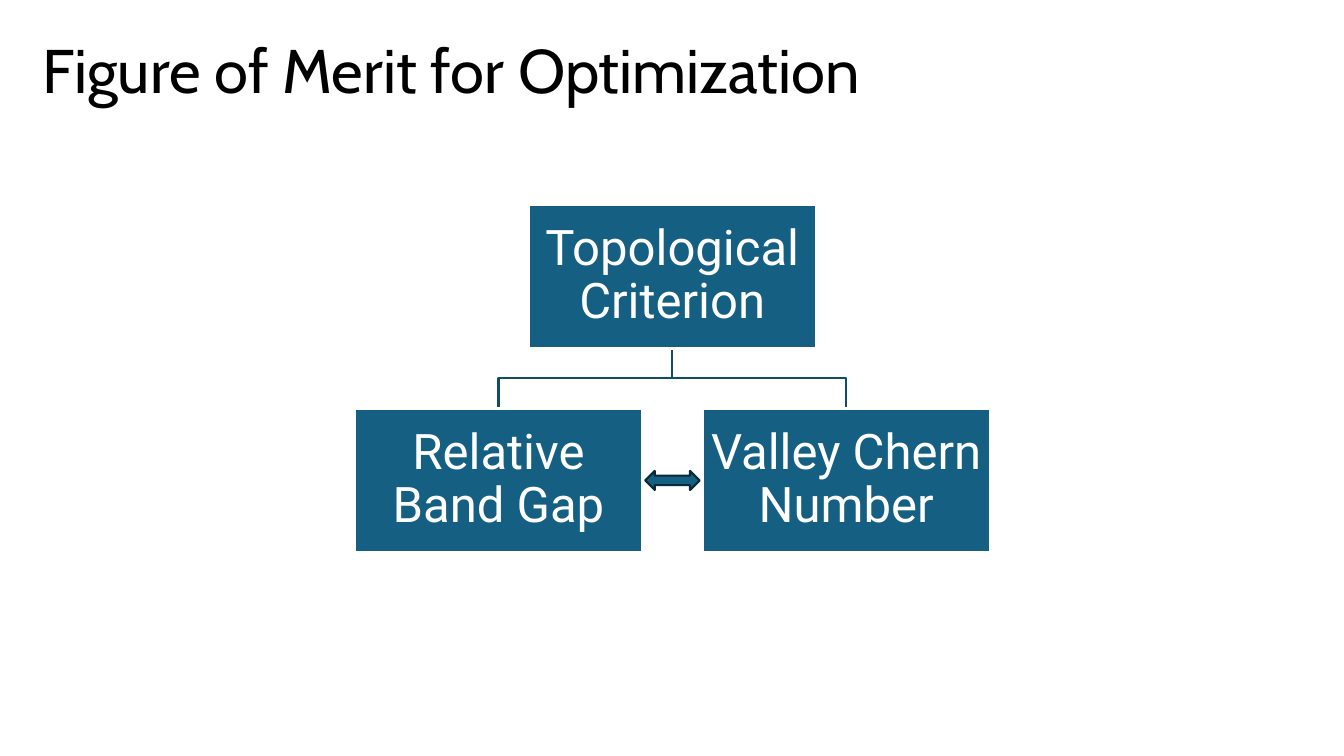
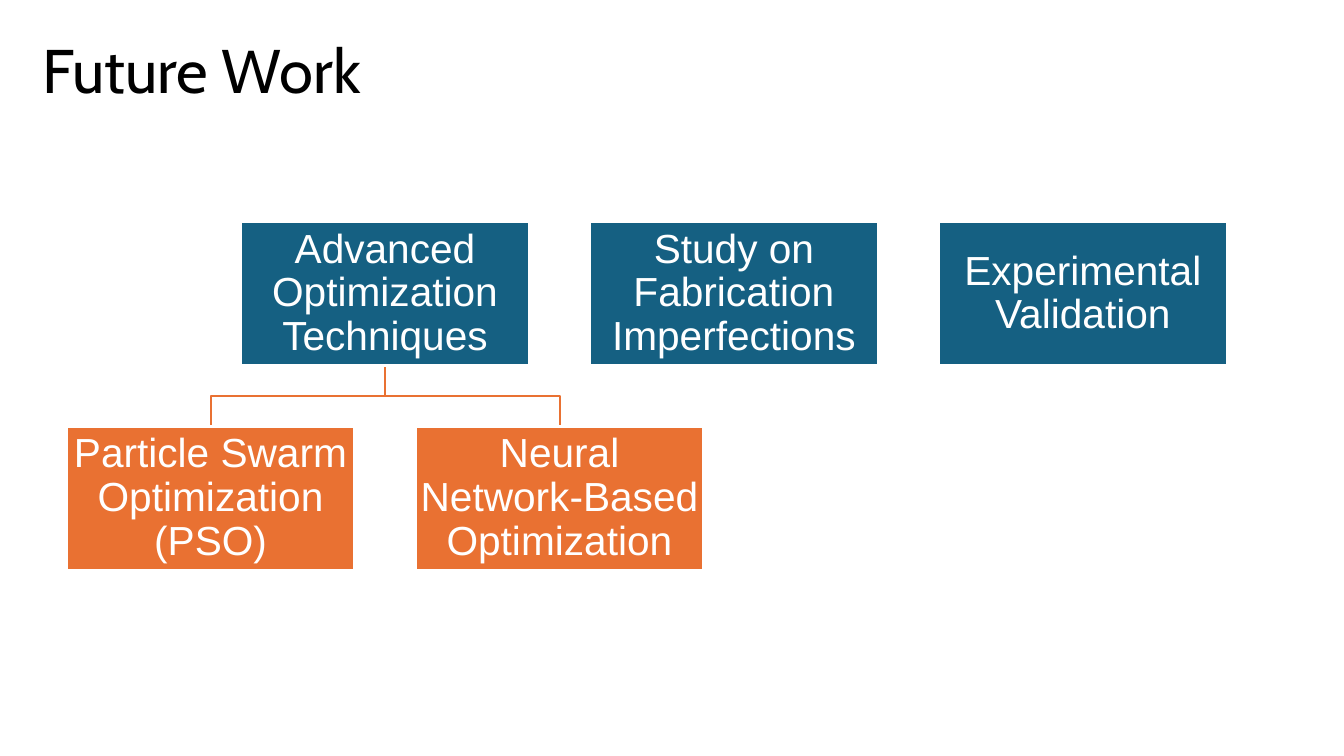
from pptx import Presentation
from pptx.dml.color import RGBColor
from pptx.enum.shapes import MSO_SHAPE
from pptx.enum.text import MSO_ANCHOR, MSO_AUTO_SIZE, PP_ALIGN
from pptx.util import Inches, Pt

# Colours
BLACK = RGBColor(0x00, 0x00, 0x00)
WHITE = RGBColor(0xFF, 0xFF, 0xFF)
BLUE = RGBColor(0x15, 0x60, 0x82)
DARK_BLUE = RGBColor(0x11, 0x4D, 0x68)
NAVY = RGBColor(0x09, 0x2A, 0x39)
ORANGE = RGBColor(0xE9, 0x71, 0x32)

LINE_SPACING = 0.9
GAP_SHARE = 0.21  # gap between boxes, as a share of the box width


class TreeGrid:
    """Places boxes, twice as wide as high, in columns and rows."""

    def __init__(self, left, top, width):
        self.left, self.top = left, top
        self.width, self.height = width, width / 2
        self.gap = width * GAP_SHARE

    def place(self, column, row):
        """Return left, top, width and height of one cell."""
        left = self.left + column * (self.width + self.gap)
        top = self.top + row * (self.height + self.gap)
        return [Inches(n) for n in (left, top, self.width, self.height)]


def write(frame, text, font, size, colour, align):
    frame.word_wrap = True
    frame.auto_size = MSO_AUTO_SIZE.NONE
    frame.vertical_anchor = MSO_ANCHOR.MIDDLE
    para = frame.paragraphs[0]
    para.alignment = align
    para.line_spacing = LINE_SPACING
    span = para.add_run()
    span.text = text
    span.font.name = font
    span.font.size = Pt(size)
    span.font.color.rgb = colour


def add_page(deck, title):
    page = deck.slides.add_slide(deck.slide_layouts[5])
    box = page.shapes.title
    box.left, box.top = Inches(0.32), 0
    box.width, box.height = Inches(11.5), Inches(1.45)
    write(box.text_frame, title, "Cabin", 44, BLACK, PP_ALIGN.LEFT)
    return page


def add_filled(page, preset, place, fill, line, line_width):
    shape = page.shapes.add_shape(preset, *place)
    shape.shadow.inherit = False
    shape.fill.solid()
    shape.fill.fore_color.rgb = fill
    shape.line.color.rgb = line
    shape.line.width = Pt(line_width)
    return shape


def add_box(page, place, text, fill, font, size):
    box = add_filled(page, MSO_SHAPE.RECTANGLE, place, fill, WHITE, 2)
    frame = box.text_frame
    frame.margin_left = frame.margin_right = Inches(0.02)
    frame.margin_top = frame.margin_bottom = Inches(0.02)
    write(frame, text, font, size, WHITE, PP_ALIGN.CENTER)


def add_branch(page, parent, child, colour):
    """Draw a bent line from the foot of parent to the head of child."""
    start_x, start_y = parent[0] + parent[2] // 2, parent[1] + parent[3]
    end_x, end_y = child[0] + child[2] // 2, child[1]
    middle_y = (start_y + end_y) // 2
    builder = page.shapes.build_freeform(start_x, start_y)
    bends = [(start_x, middle_y), (end_x, middle_y), (end_x, end_y)]
    builder.add_line_segments(bends, close=False)
    branch = builder.convert_to_shape()
    branch.shadow.inherit = False
    branch.fill.background()
    branch.line.color.rgb = colour
    branch.line.width = Pt(1.5)


def add_tree(page, grid, parents, children, child_fill, line, font, size):
    """Draw parents above children; the first parent owns the children."""
    upper = [grid.place(i + 0.5, 0) for i in range(len(parents))]
    lower = [grid.place(i, 1) for i in range(len(children))]
    for place in lower:
        add_branch(page, upper[0], place, line)
    for place, text in zip(upper, parents):
        add_box(page, place, text, BLUE, font, size)
    for place, text in zip(lower, children):
        add_box(page, place, text, child_fill, font, size)


def build_merit(deck):
    page = add_page(deck, "Figure of Merit for Optimization")
    grid = TreeGrid(3.52, 2.03, 2.85)
    add_tree(page, grid, ["Topological Criterion"],
             ["Relative Band Gap", "Valley Chern Number"],
             BLUE, DARK_BLUE, "Roboto", 35)
    # Double arrow centred in the gap between the lower boxes
    left, top, width, height = grid.place(0, 1)
    arrow_width, arrow_height = Inches(0.54), Inches(0.19)
    place = (left + width + (Inches(grid.gap) - arrow_width) // 2,
             top + (height - arrow_height) // 2, arrow_width, arrow_height)
    add_filled(page, MSO_SHAPE.LEFT_RIGHT_ARROW, place, BLUE, NAVY, 1.5)


def build_future(deck):
    page = add_page(deck, "Future Work")
    add_tree(page, TreeGrid(0.66, 2.2, 2.86),
             ["Advanced Optimization Techniques",
              "Study on Fabrication Imperfections",
              "Experimental Validation"],
             ["Particle Swarm Optimization (PSO)",
              "Neural Network-Based Optimization"],
             ORANGE, ORANGE, "Arial", 29)


def main():
    deck = Presentation()
    deck.slide_width, deck.slide_height = Inches(13.33), Inches(7.5)
    build_merit(deck)
    build_future(deck)
    deck.save("out.pptx")


if __name__ == "__main__":
    main()
